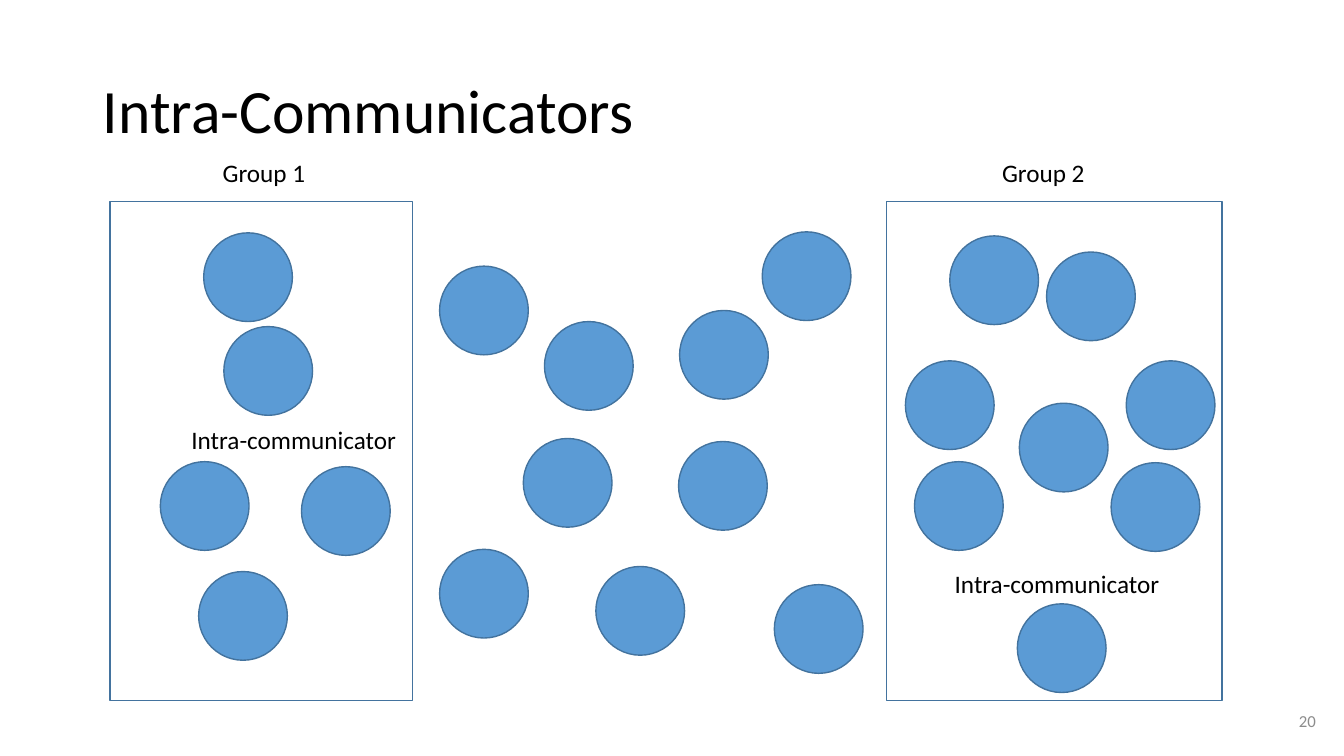
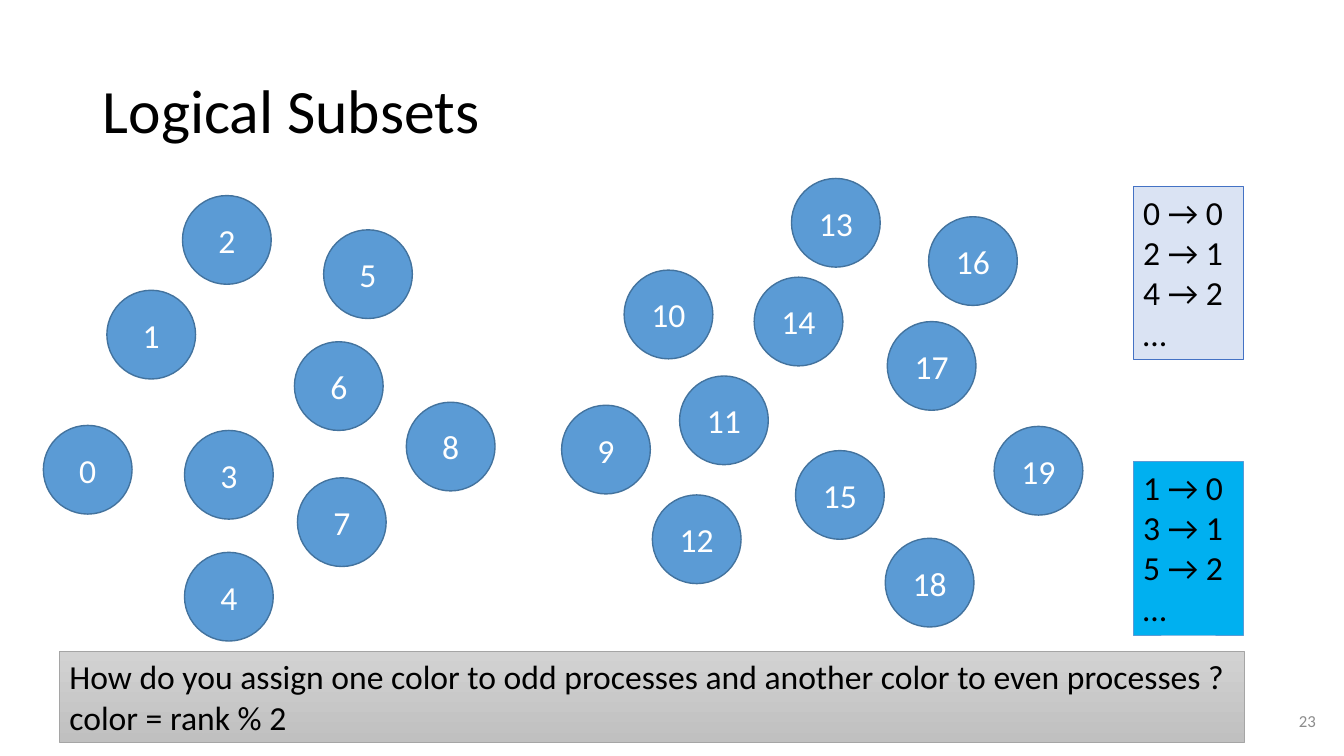
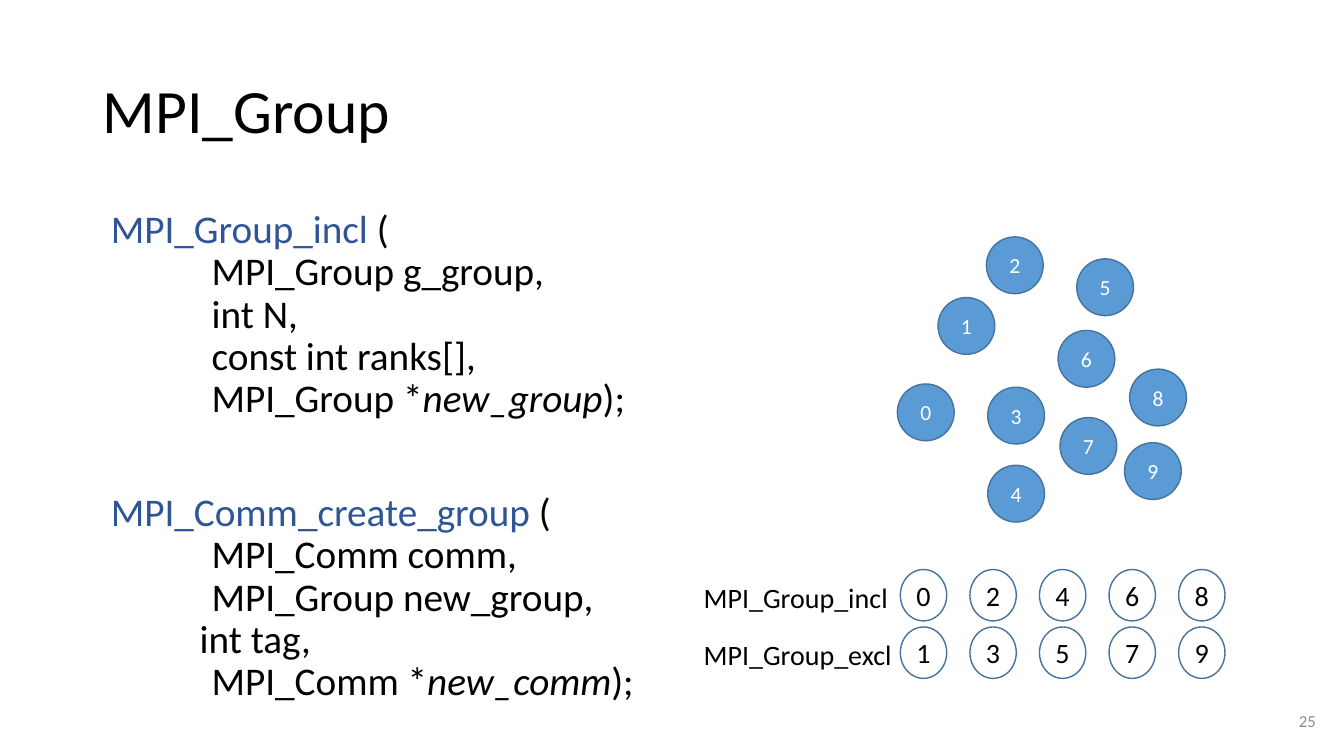
import dataclasses

import lxml.etree
import pptx
import pptx.dml.color
import pptx.enum.shapes
import pptx.enum.text
import pptx.oxml.ns
import pptx.util

KIND = pptx.enum.shapes.MSO_SHAPE
ALIGN = pptx.enum.text.PP_ALIGN
MID = pptx.enum.text.MSO_ANCHOR.MIDDLE
TOP = pptx.enum.text.MSO_ANCHOR.TOP


@dataclasses.dataclass(frozen=True)
class Theme:
    """Colours, type sizes and measures shared by the slides."""
    font: str = "Calibri"
    ink: str = "000000"
    white: str = "FFFFFF"
    blue: str = "5B9BD5"
    edge: str = "43739E"
    call: str = "2F5597"
    mute: str = "8C8C8C"
    pale: str = "DAE3F3"
    rim: str = "4472C4"
    cyan: str = "00B0F0"
    gray: str = "A5A5A5"
    shade: tuple = ("D2D2D2", "C0C0C0")
    title: float = 44
    code: float = 28
    text: float = 24
    tag: float = 20
    label: float = 18
    foot: float = 12
    disk: float = 0.88
    head: tuple = (0.92, 0.4, 11.5, 1.45)
    page: tuple = (9.42, 6.95, 3.73, 0.4)


LOOK = Theme()

EVENS = {0: (0, 2.28), 1: (0.63, 0.94), 2: (1.38, 0), 3: (1.4, 2.33),
         4: (1.4, 3.54), 5: (2.78, 0.34), 6: (2.49, 1.45), 7: (2.52, 2.8),
         8: (3.6, 2.05)}
RIGHT = {9: (0, 2.25), 10: (0.62, 0.91), 11: (1.17, 1.96), 12: (0.9, 3.14),
         13: (2.28, 0), 14: (1.91, 0.98), 15: (2.32, 2.7), 16: (3.64, 0.38),
         17: (3.23, 1.42), 18: (3.21, 3.57), 19: (4.29, 2.46)}
FIRST = [(1.13, 1.24), (0.93, 0.31), (0.88, 3.67), (0.5, 2.58), (1.9, 2.63)]
LOOSE = [(1.04, 0.89), (0.83, 2.05), (1.55, 3.32), (0, 0.34), (2.38, 0.78),
         (0, 3.15), (2.37, 2.08), (3.32, 3.5), (3.2, 0)]
OTHER = [(2.38, 1.58), (0.28, 2.58), (0.19, 1.58), (0.63, 0.34), (1.59, 0.5),
         (1.32, 2), (2.23, 2.59), (1.3, 3.99)]
CALLS = [
    ("MPI_Group_incl", 10,
     [("MPI_Group g_group,", "", "", 1.08), ("int N,", "", "", 1.08),
      ("const int ranks[],", "", "", 1.08),
      ("MPI_Group *", "new_group", ");", 1.08)]),
    ("MPI_Comm_create_group", 50.8,
     [("MPI_Comm comm,", "", "", 1.08), ("MPI_Group new_group,", "", "", 1.08),
      ("int tag,", "", "", 0.96), ("MPI_Comm *", "new_comm", ");", 1.08)]),
]


def tone(code):
    """Turn a hex code into a colour."""
    return pptx.dml.color.RGBColor.from_string(code)


def span(box):
    """Turn a box in inches into lengths."""
    return [pptx.util.Inches(part) for part in box]


def move(shape, box):
    """Set the place and size of a shape."""
    shape.left, shape.top, shape.width, shape.height = span(box)


def add_run(para, text, size, ink, slant=False):
    """Add one formatted run."""
    run = para.add_run()
    run.text = text
    run.font.name = LOOK.font
    run.font.size = pptx.util.Pt(size)
    run.font.color.rgb = tone(ink)
    run.font.italic = slant


def write(shape, lines, size, ink=LOOK.ink, align=ALIGN.LEFT, anchor=TOP,
          wrap=False):
    """Fill a shape with one paragraph a line."""
    frame = shape.text_frame
    frame.word_wrap = wrap
    frame.vertical_anchor = anchor
    for row, line in enumerate(lines):
        para = frame.add_paragraph() if row else frame.paragraphs[0]
        para.alignment = align
        add_run(para, line, size, ink)


def note(slide, box, text, size, **style):
    """Add a plain line of text."""
    write(slide.shapes.add_textbox(*span(box)), [text], size, **style)


def form(slide, kind, box, fill=None, edge=LOOK.edge, width=1):
    """Add a preset shape with a flat fill or none."""
    shape = slide.shapes.add_shape(kind, *span(box))
    shape.shadow.inherit = False
    if fill:
        shape.fill.solid()
        shape.fill.fore_color.rgb = tone(fill)
    else:
        shape.fill.background()
    shape.line.color.rgb = tone(edge)
    shape.line.width = pptx.util.Pt(width)
    return shape


def start(deck, layout, title, page):
    """Add a slide with its title and page number."""
    slide = deck.slides.add_slide(deck.slide_layouts[layout])
    head = slide.shapes.title
    move(head, LOOK.head)
    write(head, [title], LOOK.title, anchor=MID, wrap=True)
    head.text_frame.paragraphs[0].line_spacing = 0.9
    note(slide, LOOK.page, page, LOOK.foot, ink=LOOK.mute,
         align=ALIGN.RIGHT, anchor=MID, wrap=True)
    return slide


def disks(slide, left, top, spots, scale=1.0):
    """Scatter disks from a corner, with ranks if spots is a dict."""
    ranks = isinstance(spots, dict)
    side = LOOK.disk * scale
    for rank in spots if ranks else range(len(spots)):
        x, y = spots[rank]
        disk = form(slide, KIND.OVAL,
                    (left + x * scale, top + y * scale, side, side), LOOK.blue)
        if ranks:
            write(disk, [str(rank)], round(LOOK.text * scale, 1), LOOK.white,
                  ALIGN.CENTER, MID)


def group(slide, box, name, indent, spots, tag):
    """Draw a framed group of disks with its two labels."""
    left, top = box[:2]
    disks(slide, left, top, spots)
    form(slide, KIND.RECTANGLE, box)
    note(slide, (left + indent, top - 0.49, 1.32, 0.4), name, LOOK.label)
    note(slide, (left + tag[0], top + tag[1], 2.25, 0.4),
         "Intra-communicator", LOOK.label)


def panel(slide, box, lines, fill, edge):
    """Draw a filled box of text lines."""
    shape = form(slide, KIND.RECTANGLE, box, fill, edge, 0.5)
    write(shape, lines, LOOK.text)
    return shape


def ask(slide, box, lines):
    """Draw the question band with a shaded fill."""
    band = panel(slide, box, lines, None, LOOK.gray)
    band.fill.gradient()
    band.fill.gradient_angle = 270
    for stop, code in zip(band.fill.gradient_stops, LOOK.shade):
        stop.color.rgb = tone(code)


def code_line(para, indent, before):
    """Format a code paragraph and drop its bullet."""
    para.alignment = ALIGN.LEFT
    para.line_spacing = 0.9
    para.space_before = pptx.util.Pt(before)
    para.space_after = pptx.util.Pt(0)
    props = para._p.get_or_add_pPr()
    props.set("marL", str(pptx.util.Inches(indent)))
    props.set("indent", "0")
    lxml.etree.SubElement(props, pptx.oxml.ns.qn("a:buNone"))


def code(slide, box):
    """Place the call listings in the body placeholder."""
    body = slide.placeholders[1]
    move(body, box)
    frame = body.text_frame
    frame.word_wrap = True
    frame.auto_size = pptx.enum.text.MSO_AUTO_SIZE.NONE
    para = frame.paragraphs[0]
    for name, gap, args in CALLS:
        if para.runs:
            para = frame.add_paragraph()
        code_line(para, 0.08, gap)
        add_run(para, name, LOOK.code, LOOK.call)
        add_run(para, " (", LOOK.code, LOOK.ink)
        for text, slant, tail, indent in args:
            para = frame.add_paragraph()
            code_line(para, indent, 0)
            add_run(para, text, LOOK.code, LOOK.ink)
            if slant:
                add_run(para, slant, LOOK.code, LOOK.ink, True)
                add_run(para, tail, LOOK.code, LOOK.ink)


def pick(slide, left, top, name, ranks):
    """Draw a named row of chosen ranks."""
    note(slide, (left, top + 0.06, 2.09, 0.44), name, LOOK.tag)
    for col, rank in enumerate(ranks):
        ring = form(slide, KIND.OVAL,
                    (left + 2.05 + 0.69 * col, top, 0.46, 0.51), LOOK.white)
        write(ring, [str(rank)], LOOK.tag, LOOK.ink, ALIGN.CENTER, MID)


def intra(deck):
    """Build the slide on groups."""
    slide = start(deck, 5, "Intra-Communicators", "20")
    disks(slide, 4.36, 2.3, LOOSE)
    group(slide, (1.09, 2, 3, 4.95), "Group 1", 1.02, FIRST, (0.71, 2.16))
    group(slide, (8.79, 2, 3.33, 4.95), "Group 2", 1.05, OTHER, (0.58, 3.59))


def subsets(deck):
    """Build the slide on odd and even ranks."""
    slide = start(deck, 5, "Logical Subsets", "23")
    disks(slide, 0.43, 1.94, EVENS)
    disks(slide, 5.57, 1.77, RIGHT)
    ask(slide, (0.59, 6.46, 11.75, 0.91),
        ["How do you assign one color to odd processes and another color "
         "to even processes ?", "color = rank % 2"])
    for first, top, fill, edge in ((0, 1.85, LOOK.pale, LOOK.rim),
                                   (1, 4.58, LOOK.cyan, LOOK.blue)):
        lines = [f"{first + 2 * row} → {row}" for row in range(3)] + ["…"]
        panel(slide, (11.24, top, 1.09, 1.72), lines, fill, edge)


def groups(deck):
    """Build the slide on the group calls."""
    slide = start(deck, 1, "MPI_Group", "25")
    code(slide, (0.92, 2.03, 5.92, 5.38))
    disks(slide, 8.9, 2.35, {**EVENS, 9: (3.52, 3.19)}, 0.64)
    pick(slide, 6.88, 5.65, "MPI_Group_incl", range(0, 10, 2))
    pick(slide, 6.88, 6.22, "MPI_Group_excl", range(1, 10, 2))


def main():
    """Build and save the deck."""
    deck = pptx.Presentation()
    deck.slide_width, deck.slide_height = span((13.33, 7.5))
    for build in (intra, subsets, groups):
        build(deck)
    deck.save("out.pptx")


if __name__ == "__main__":
    main()
